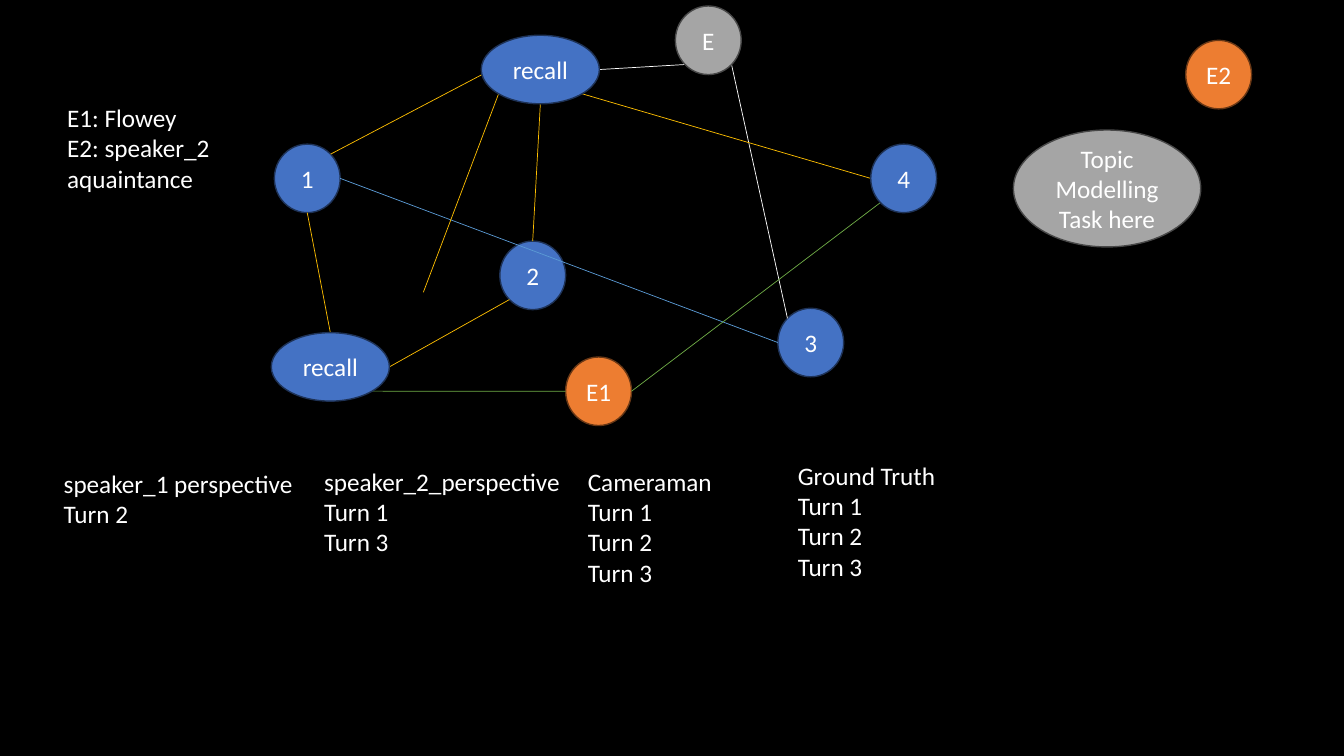
from math import cos, radians, sin

from lxml.etree import SubElement
from pptx import Presentation
from pptx.dml.color import RGBColor
from pptx.enum.shapes import MSO_CONNECTOR, MSO_SHAPE
from pptx.enum.text import MSO_ANCHOR, MSO_AUTO_SIZE, PP_ALIGN
from pptx.oxml.ns import qn
from pptx.util import Inches, Pt

COLUMNS, ROWS = 160, 90
WIDTH, HEIGHT = Inches(13.333), Inches(7.5)

BLACK = RGBColor(0x00, 0x00, 0x00)
WHITE = RGBColor(0xFF, 0xFF, 0xFF)
BLUE = RGBColor(0x44, 0x72, 0xC4)
DARK_BLUE = RGBColor(0x1E, 0x32, 0x56)
ORANGE = RGBColor(0xED, 0x7D, 0x31)
DARK_ORANGE = RGBColor(0x68, 0x37, 0x15)
GRAY = RGBColor(0xA5, 0xA5, 0xA5)
DARK_GRAY = RGBColor(0x48, 0x48, 0x48)
GOLD = RGBColor(0xFF, 0xC0, 0x00)
SKY = RGBColor(0x5B, 0x9B, 0xD5)
GREEN = RGBColor(0x70, 0xAD, 0x47)

OUTLINES = {BLUE: DARK_BLUE, ORANGE: DARK_ORANGE, GRAY: DARK_GRAY}
FONT = {"name": "Calibri", "size": Pt(18)}
NODE_FRAME = {"word_wrap": True, "vertical_anchor": MSO_ANCHOR.MIDDLE,
              "margin_left": Inches(0.05), "margin_right": Inches(0.05)}
NOTE_FRAME = {"word_wrap": False, "auto_size": MSO_AUTO_SIZE.SHAPE_TO_FIT_TEXT}

CIRCLE, OVAL, TOPIC_OVAL = (7.84, 8.16), (14.06, 8.16), (22.3, 13.92)

BACK_NODES = {
    "turn 1": ("1", 32.66, 17.16, CIRCLE, BLUE),
    "turn 2": ("2", 59.5, 28.7, CIRCLE, BLUE),
    "E1": ("E1", 67.34, 42.5, CIRCLE, ORANGE),
    "turn 3": ("3", 92.6, 36.7, CIRCLE, BLUE),
    "E2": ("E2", 141.16, 4.8, CIRCLE, ORANGE),
}
FRONT_NODES = {
    "top recall": ("recall", 57.3, 4.2, OVAL, BLUE),
    "E": ("E", 80.4, 0.72, CIRCLE, GRAY),
    "topic": ("Topic Modelling Task here", 120.65, 15.48, TOPIC_OVAL, GRAY),
    "turn 4": ("4", 103.66, 17.16, CIRCLE, BLUE),
    "low recall": ("recall", 32.3, 39.6, OVAL, BLUE),
}
NODES = {**BACK_NODES, **FRONT_NODES}

ANGLES = {"right": 0, "low right": 45, "bottom": 90, "low left": 135,
          "left": 180, "top left": 225, "top": 270, "top right": 315}
LINKS = [
    (("turn 1", "bottom"), ("low recall", "top"), GOLD),
    (("turn 1", "top right"), (59.9, 7.56), GOLD),
    (("turn 2", "top"), ("top recall", "bottom"), GOLD),
    (("turn 2", "low left"), ("low recall", "right"), GOLD),
    (("turn 3", "top left"), ("E", "low right"), WHITE),
    (("turn 1", "right"), ("turn 3", "left"), SKY),
    (("top recall", "right"), ("E", "low left"), WHITE),
    ((50.4, 34.8), ("top recall", "low left"), GOLD),
    (("turn 4", "left"), ("top recall", "low right"), GOLD),
    (("turn 4", "low left"), ("E1", "right"), GREEN),
    (("E1", "left"), ("low recall", "low right"), GREEN),
]

NOTES = [
    (6.8, 11.6, 19.6, 12.1, ["E1: Flowey", "E2: speaker_2", "aquaintance"]),
    (6.4, 55.1, 30, 12.1, ["speaker_1 perspective", "Turn 2"]),
    (37.4, 54.9, 30.8, 12.1, ["speaker_2_perspective", "Turn 1", "Turn 3"]),
    (68.8, 54.9, 17.3, 15.7, ["Cameraman", "Turn 1", "Turn 2", "Turn 3"]),
    (93.8, 54.2, 19, 15.7, ["Ground Truth", "Turn 1", "Turn 2", "Turn 3"]),
]


def grid(*lengths):
    units = (WIDTH / COLUMNS, HEIGHT / ROWS)
    return [round(length * units[i % 2]) for i, length in enumerate(lengths)]


def apply(target, values):
    for name, value in values.items():
        setattr(target, name, value)


def write(tf, lines, frame, align):
    apply(tf, frame)
    for i, line in enumerate(lines):
        p = tf.paragraphs[0] if i == 0 else tf.add_paragraph()
        p.alignment = align
        r = p.add_run()
        r.text = line
        apply(r.font, FONT)
        r.font.color.rgb = WHITE


def add_node(s, label, left, top, size, color):
    sp = s.shapes.add_shape(MSO_SHAPE.OVAL, *grid(left, top, *size))
    sp.shadow.inherit = False
    sp.fill.solid()
    sp.fill.fore_color.rgb = color
    sp.line.color.rgb = OUTLINES[color]
    sp.line.width = Pt(1)
    write(sp.text_frame, [label], NODE_FRAME, PP_ALIGN.CENTER)


def locate(end):
    if end[0] not in NODES:
        return end
    node, side = end
    _, left, top, (width, height), _ = NODES[node]
    angle = radians(ANGLES[side])
    return (left + width / 2 * (1 + cos(angle)),
            top + height / 2 * (1 + sin(angle)))


def add_link(s, start, finish, color):
    points = grid(*locate(start), *locate(finish))
    link = s.shapes.add_connector(MSO_CONNECTOR.STRAIGHT, *points)
    link.line.color.rgb = color
    link.line.width = Pt(0.5)
    SubElement(link._element.spPr, qn("a:effectLst"))


def add_note(s, left, top, width, height, lines):
    sp = s.shapes.add_textbox(*grid(left, top, width, height))
    write(sp.text_frame, lines, NOTE_FRAME, PP_ALIGN.LEFT)


def main():
    prs = Presentation()
    apply(prs, {"slide_width": WIDTH, "slide_height": HEIGHT})
    s = prs.slides.add_slide(prs.slide_layouts[6])
    s.background.fill.solid()
    s.background.fill.fore_color.rgb = BLACK
    for node in BACK_NODES.values():
        add_node(s, *node)
    for link in LINKS:
        add_link(s, *link)
    for node in FRONT_NODES.values():
        add_node(s, *node)
    for note in NOTES:
        add_note(s, *note)
    prs.save("out.pptx")


if __name__ == "__main__":
    main()
